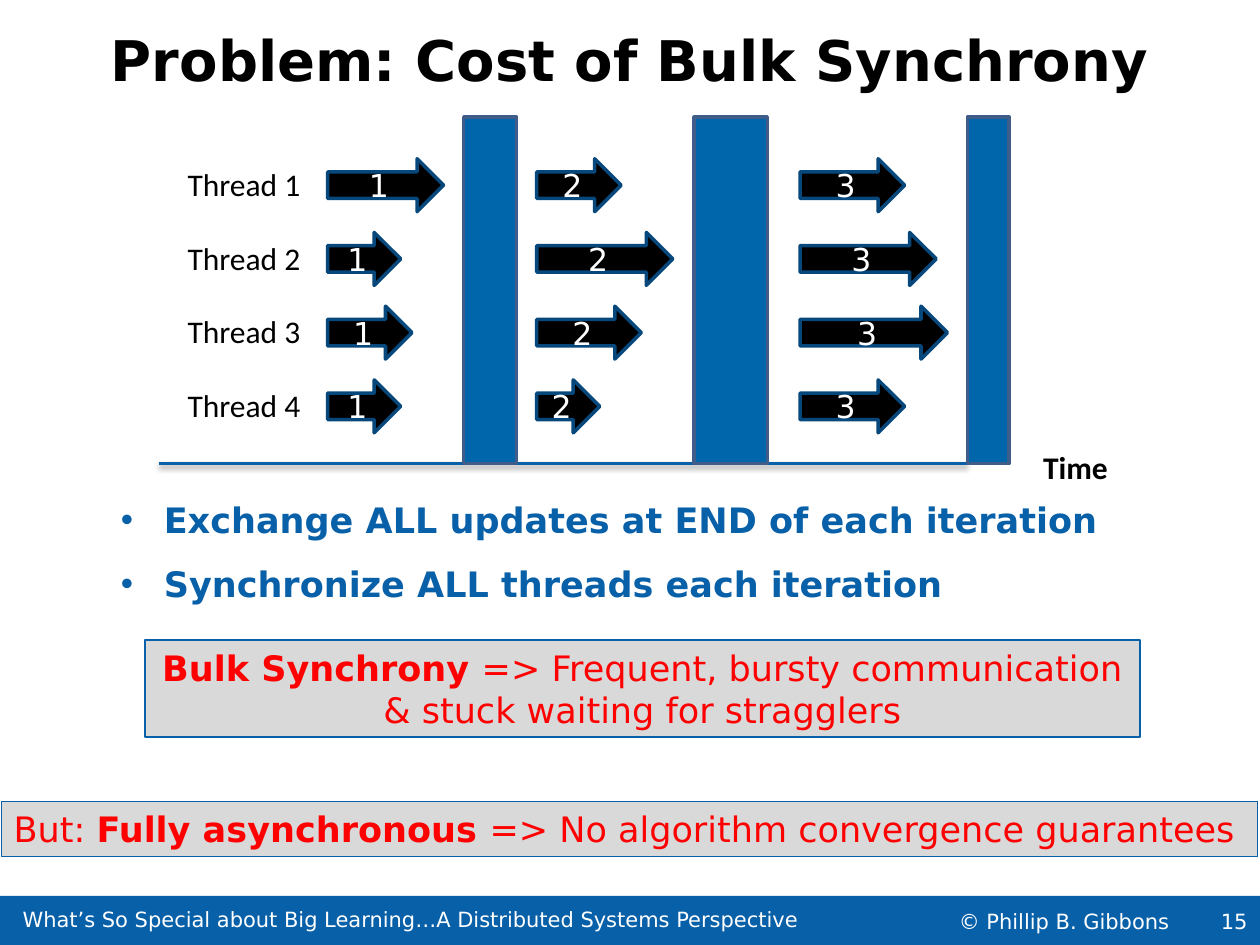
from lxml import etree
from pptx import Presentation
from pptx.dml.color import RGBColor
from pptx.enum.shapes import MSO_CONNECTOR, MSO_SHAPE
from pptx.enum.text import MSO_ANCHOR, MSO_AUTO_SIZE, PP_ALIGN
from pptx.oxml.ns import qn
from pptx.util import Inches, Pt

RECT, ARROW = MSO_SHAPE.RECTANGLE, MSO_SHAPE.RIGHT_ARROW
LINE = MSO_CONNECTOR.STRAIGHT
LEFT, MID, RIGHT = PP_ALIGN.LEFT, PP_ALIGN.CENTER, PP_ALIGN.RIGHT
TOP, CENTER = MSO_ANCHOR.TOP, MSO_ANCHOR.MIDDLE
FIXED, GROW = MSO_AUTO_SIZE.NONE, MSO_AUTO_SIZE.SHAPE_TO_FIT_TEXT

SANS, LABEL = "DejaVu Sans", "Calibri"
BLUE, RED, GREY = "0860A8", "FF0000", "D9D9D9"
BLACK, WHITE = "000000", "FFFFFF"

# Rows of threads, and arrow lengths for each iteration
ROW, STEP = 1.26, 0.585
STAGES = [
    (2.6, (0.92, 0.58, 0.67, 0.58)),
    (4.26, (0.67, 1.08, 0.83, 0.5)),
    (6.35, (0.83, 1.08, 1.17, 0.83)),
]
BARS = [(3.68, 0.42), (5.51, 0.58), (7.68, 0.33)]
AXIS = 3.68


def color(code):
    return RGBColor.from_string(code)


def place(shape, left, top, width, height):
    shape.left, shape.top = Inches(left), Inches(top)
    shape.width, shape.height = Inches(width), Inches(height)


def add_run(para, text, size, code, bold=False, font=SANS):
    run = para.add_run()
    run.text = text
    run.font.size, run.font.name, run.font.bold = Pt(size), font, bold
    run.font.color.rgb = color(code)


def set_frame(shape, anchor=TOP, wrap=True, fit=FIXED, inset=(0.1, 0.05)):
    frame = shape.text_frame
    frame.vertical_anchor, frame.word_wrap, frame.auto_size = anchor, wrap, fit
    frame.margin_left = frame.margin_right = Inches(inset[0])
    frame.margin_top = frame.margin_bottom = Inches(inset[1])
    return frame


def add_box(slide, kind, area, fill, line=None, weight=2):
    box = slide.shapes.add_shape(kind, *map(Inches, area))
    box.shadow.inherit = False
    box.fill.solid()
    box.fill.fore_color.rgb = color(fill)
    if line:
        box.line.color.rgb = color(line)
        box.line.width = Pt(weight)
    else:
        box.line.fill.background()
    return box


def add_label(slide, area, text, bold=False):
    box = slide.shapes.add_textbox(*map(Inches, area))
    frame = set_frame(box, wrap=False, fit=GROW)
    add_run(frame.paragraphs[0], text, 18, BLACK, bold, LABEL)


def add_arrow(slide, area, text):
    box = add_box(slide, ARROW, area, BLACK, "06477C")
    para = set_frame(box, CENTER).paragraphs[0]
    para.alignment = MID
    add_run(para, text, 18, WHITE)


def add_axis(slide, left, right, top):
    ends = map(Inches, (left, top, right, top))
    axis = slide.shapes.add_connector(LINE, *ends)
    axis.line.color.rgb, axis.line.width = color(BLUE), Pt(2)
    # Soft shadow straight below the line
    props = axis.line._get_or_add_ln().getparent()
    effects = etree.SubElement(props, qn("a:effectLst"))
    shade = etree.SubElement(effects, qn("a:outerShdw"), blurRad=str(Pt(3.1)),
                             dist=str(Pt(1.6)), dir="5400000", rotWithShape="0")
    tint = etree.SubElement(shade, qn("a:srgbClr"), val=BLACK)
    etree.SubElement(tint, qn("a:alpha"), val="38000")


def add_note(slide, area, weight, align, lines):
    box = add_box(slide, RECT, area, GREY, BLUE, weight)
    para = set_frame(box, wrap=False, fit=GROW).paragraphs[0]
    para.alignment = align
    for i, parts in enumerate(lines):
        if i:
            para.add_line_break()
        for text, bold in parts:
            add_run(para, text, 20, RED, bold)


def add_footer(slide):
    bar = add_box(slide, RECT, (0, 7.11, 10, 0.4), BLUE)
    para = set_frame(bar, CENTER).paragraphs[0]
    para.alignment = RIGHT
    add_run(para, "15", 12, WHITE)
    for area, indent, text in (
        ((6.88, 7.17, 3.11, 0.28), 0.73, "© Phillip B. Gibbons"),
        ((-0.1, 7.21, 6.73, 0.17), 0.28,
         "What’s So Special about Big Learning…A Distributed Systems Perspective"),
    ):
        box = slide.shapes.add_textbox(*map(Inches, area))
        frame = set_frame(box, CENTER, inset=(0, 0))
        frame.margin_left = Inches(indent)
        add_run(frame.paragraphs[0], text, 12, WHITE)


def set_title(slide, text):
    title = slide.shapes.title
    place(title, 0, 0.2, 10, 0.97)
    para = set_frame(title, inset=(0, 0)).paragraphs[0]
    para.alignment = MID
    add_run(para, text, 32, BLACK, True)


def set_list(slide, items):
    body = slide.placeholders[1]
    place(body, 0.96, 3.96, 8.87, 0.92)
    frame = set_frame(body, inset=(0, 0))
    for i, text in enumerate(items):
        para = frame.add_paragraph() if i else frame.paragraphs[0]
        para.space_before = Pt(12.5)
        props = para._p.get_or_add_pPr()
        props.set("marL", str(Inches(0.34)))
        props.set("indent", str(-Inches(0.34)))
        etree.SubElement(props, qn("a:buChar"), char="•")
        add_run(para, text, 20, BLUE, True)


def add_chart(slide):
    add_axis(slide, 1.26, 7.68, AXIS)
    for left, width in BARS:
        add_box(slide, RECT, (left, 0.93, width, AXIS - 0.93), "0066AC", "405D89")
    for row in range(4):
        top = ROW + row * STEP
        add_label(slide, (1.39, top, 1.11, 0.4), f"Thread {row + 1}")
        for stage, (left, sizes) in enumerate(STAGES, 1):
            add_arrow(slide, (left, top, sizes[row], 0.42), str(stage))
    add_label(slide, (8.18, 3.51, 0.72, 0.4), "Time", True)


def main():
    deck = Presentation()
    deck.slide_width, deck.slide_height = Inches(10), Inches(7.5)
    slide = deck.slides.add_slide(deck.slide_layouts[1])

    # Footer, title and thread timeline
    add_footer(slide)
    set_title(slide, "Problem: Cost of Bulk Synchrony")
    add_chart(slide)

    # Key points and conclusions
    set_list(slide, ["Exchange ALL updates at END of each iteration",
                     "Synchronize ALL threads each iteration"])
    add_note(slide, (0.01, 6.36, 9.97, 0.44), 0.75, LEFT, [
        [("But: ", False), ("Fully asynchronous ", True),
         ("=> No algorithm convergence guarantees", False)]])
    add_note(slide, (1.15, 5.08, 7.9, 0.77), 1, MID, [
        [("Bulk Synchrony ", True), ("=> Frequent, bursty communication", False)],
        [("& stuck waiting for stragglers", False)]])

    deck.save("out.pptx")


if __name__ == "__main__":
    main()
